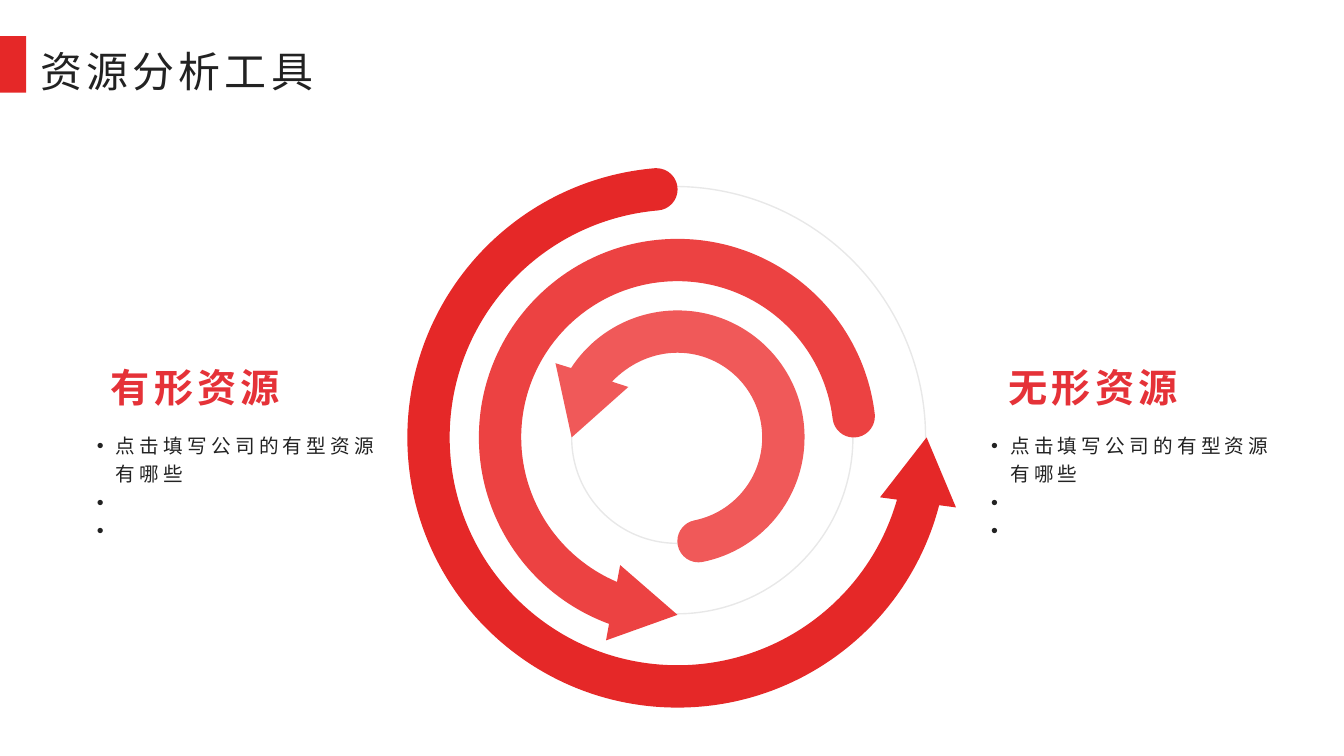
from math import asin, ceil, cos, floor, pi, radians, sin, tan

from lxml.etree import SubElement
from pptx import Presentation
from pptx.dml.color import RGBColor
from pptx.enum.shapes import MSO_SHAPE
from pptx.enum.text import MSO_ANCHOR, MSO_AUTO_SIZE, PP_ALIGN
from pptx.oxml.ns import qn
from pptx.util import Inches, Pt

FONT = "Noto Sans CJK SC"
HEX = {"dark": "222222", "red": "E52828", "mid": "EC4242",
       "light": "F05959", "head": "E53238"}
RGB = {name: RGBColor.from_string(code) for name, code in HEX.items()}

deck = Presentation()
deck.slide_width, deck.slide_height = Inches(13.33), Inches(7.5)
slide = deck.slides.add_slide(deck.slide_layouts[4])
shapes = slide.shapes


def arc(x, y, size, start, end):
    """First point, then Bezier triples, cut where the arc crosses an axis."""
    low, high = sorted((start, end))
    cuts = [k * pi / 2 for k in range(floor(low * 2 / pi) + 1, ceil(high * 2 / pi))]
    turns = [start] + sorted(cuts, reverse=end < start) + [end]
    points = [(x + size * cos(start), y + size * sin(start))]
    for a, b in zip(turns, turns[1:]):
        pull = 4 / 3 * tan((b - a) / 4)
        points += [(x + size * (cos(t) - k * sin(t)), y + size * (sin(t) + k * cos(t)))
                   for t, k in ((a, pull), (b, -pull), (b, 0))]
    return points


def write(holder, box, lines, look, align=PP_ALIGN.LEFT, inset=0.05):
    """Place a text holder and fill it with evenly spaced lines."""
    holder.left, holder.top, holder.width, holder.height = map(Inches, box)
    frame = holder.text_frame
    frame.text = "\n".join(lines)
    setup = {"word_wrap": True, "vertical_anchor": MSO_ANCHOR.TOP,
             "auto_size": MSO_AUTO_SIZE.SHAPE_TO_FIT_TEXT,
             "margin_left": Inches(inset), "margin_right": Inches(inset),
             "margin_top": Inches(0.05), "margin_bottom": Inches(0.05)}
    for key, value in setup.items():
        setattr(frame, key, value)
    for para in frame.paragraphs:
        flow = {"alignment": align, "line_spacing": 1.2,
                "space_before": Pt(0), "space_after": Pt(0)}
        for key, value in flow.items():
            setattr(para, key, value)
        for run in para.runs:
            for key, value in look.items():
                setattr(run.font, key, value)
            run.font.color.rgb = RGB["head" if look["bold"] else "dark"]
            props = run.font._element
            props.set("spc", "300")
            SubElement(props, qn("a:ea")).set("typeface", FONT)


# Thin guide rings
for left, top, size in [(4.2, 1.85, 4.98), (4.96, 2.59, 3.5), (5.67, 3.3, 2.09)]:
    ring = shapes.add_shape(MSO_SHAPE.OVAL, *map(Inches, (left, top, size, size)))
    ring.shadow.inherit = False
    ring.fill.background()
    ring.line.width = Pt(1)
    ring.line.color.rgb = RGB["dark"]
    tint = ring.line._ln.find(".//" + qn("a:srgbClr"))
    SubElement(tint, qn("a:alpha")).set("val", "10000")

# Arrows: three quarters of a turn, from a round tail to a pointed head
MX, MY = 6.72, 4.34
HALF, WING, HEAD = 0.21, 0.38, 0.65
for size, tail, tone in [(1.05, 90, "light"), (1.76, 0, "mid"), (2.47, -90, "red")]:
    start = radians(tail) - HALF / size
    tip = radians(tail) - 1.5 * pi
    lean = asin(HEAD / 2 / size)
    base = tip + 2 * lean
    cap = MX + size * cos(start), MY + size * sin(start)
    neck = MX + size * cos(base), MY + size * sin(base)
    edge = [(neck[0] + d * cos(tip + lean), neck[1] + d * sin(tip + lean))
            for d in (WING, -WING, -HALF)]
    edge.insert(1, (MX + size * cos(tip), MY + size * sin(tip)))
    slip = HALF * sin(lean)
    outer, inner = size + HALF, size - HALF
    points = arc(*cap, HALF, start + pi, start)
    points += arc(MX, MY, outer, start, base - slip / outer)[1:]
    points += [corner for corner in edge for _ in range(3)]
    points += arc(MX, MY, inner, base + slip / inner, start)[1:]
    points = [(Inches(x), Inches(y)) for x, y in points]
    pen = shapes.build_freeform(*points[0])
    pen.add_line_segments(points[1:], close=True)
    arrow = pen.convert_to_shape()
    lines = list(arrow._element.iter(qn("a:lnTo")))
    for first, second, third in zip(lines[::3], lines[1::3], lines[2::3]):
        first.tag = qn("a:cubicBezTo")
        first.extend([second[0], third[0]])
        for spare in (second, third):
            spare.getparent().remove(spare)
    arrow.shadow.inherit = False
    arrow.fill.solid()
    arrow.fill.fore_color.rgb = RGB[tone]
    arrow.line.fill.background()

# Title with its red tab
tab = shapes.add_shape(MSO_SHAPE.RECTANGLE, *map(Inches, (0, 0.36, 0.26, 0.56)))
tab.shadow.inherit = False
tab.fill.solid()
tab.fill.fore_color.rgb = RGB["red"]
tab.line.fill.background()
title, *bodies = slide.placeholders
plain = {"name": FONT, "size": Pt(30), "bold": False}
write(title, (0.35, 0.3, 3.52, 0.67), ["资源分析工具"], plain)

# Heading and list on each side; the last two bullets are left open to fill in
strong = plain | {"size": Pt(28), "bold": True}
small = plain | {"size": Pt(14)}
items = ["点击填写公司的有型资源有哪些", " ", " "]
sides = [("有形资源", (1.05, 3.46, 2.82, 0.63), PP_ALIGN.LEFT, 0.86),
         ("无形资源", (9.48, 3.46, 2.72, 0.63), PP_ALIGN.CENTER, 9.73)]
for (name, box, align, left), head, body in zip(sides, bodies[::2], bodies[1::2]):
    write(head, box, [name], strong, align)
    write(body, (left, 4.21, 3.1, 1.21), items, small, inset=0.1)
    for para in body.text_frame.paragraphs:
        props = para._p.get_or_add_pPr()
        props.set("marL", str(Inches(0.19)))
        props.set("indent", str(-Inches(0.19)))
        SubElement(props, qn("a:buFont")).set("typeface", "Arial")
        SubElement(props, qn("a:buChar")).set("char", "•")

deck.save("out.pptx")
